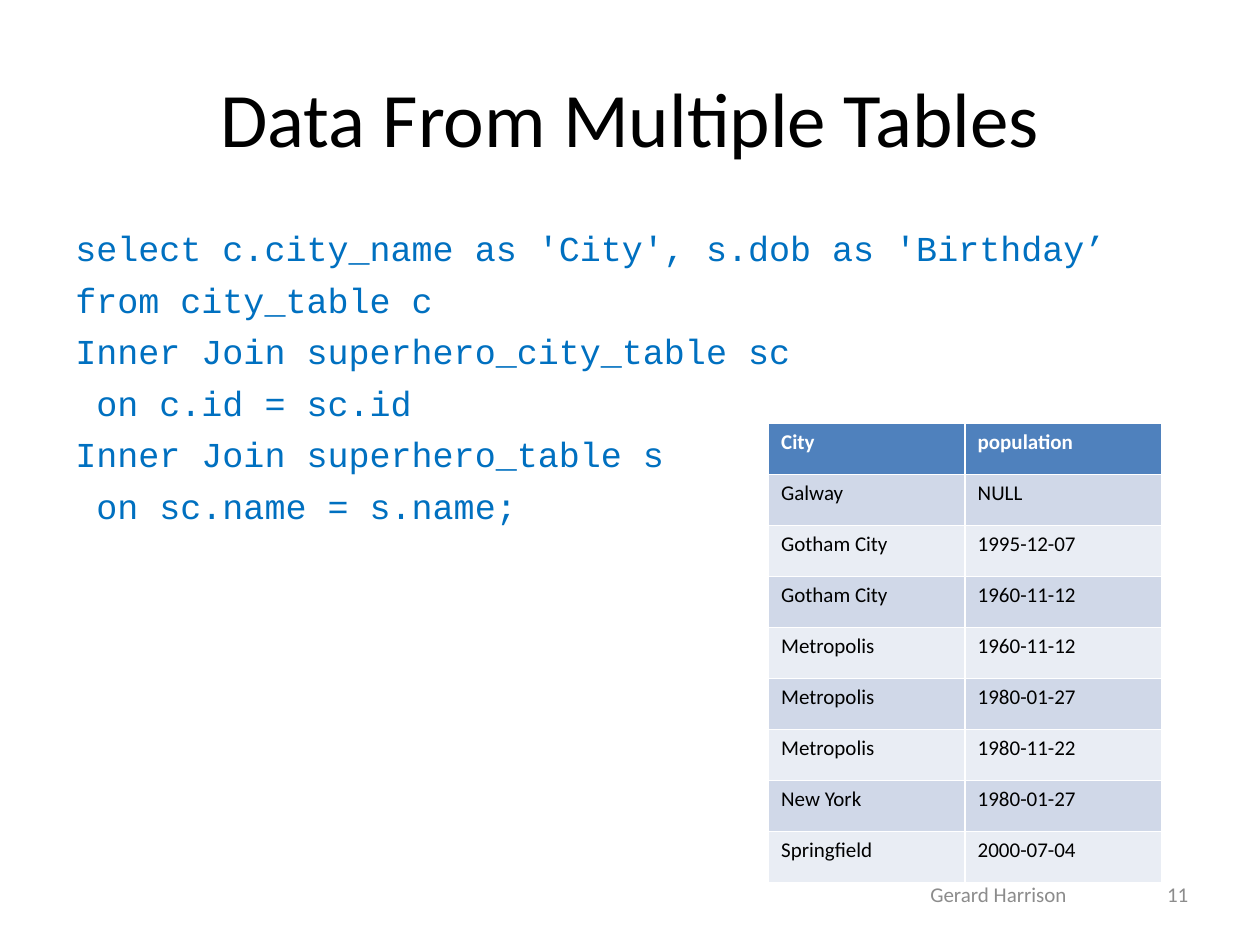
import pptx
import pptx.util
import pptx.dml.color
import pptx.enum.text

Inches, Pt = pptx.util.Inches, pptx.util.Pt
ALIGN, ANCHOR = pptx.enum.text.PP_ALIGN, pptx.enum.text.MSO_ANCHOR

# Content
TITLE = "Data From Multiple Tables"
QUERY = [
    "select c.city_name as 'City', s.dob as 'Birthday’",
    "from city_table c",
    "Inner Join superhero_city_table sc",
    " on c.id = sc.id",
    "Inner Join superhero_table s",
    " on sc.name = s.name;",
]
RESULTS = [
    ("City", "population"),
    ("Galway", "NULL"),
    ("Gotham City", "1995-12-07"),
    ("Gotham City", "1960-11-12"),
    ("Metropolis", "1960-11-12"),
    ("Metropolis", "1980-01-27"),
    ("Metropolis", "1980-11-22"),
    ("New York", "1980-01-27"),
    ("Springfield", "2000-07-04"),
]
AUTHOR, PAGE = "Gerard Harrison", "11"

COLORS = {
    "text": "000000", "code": "0070C0", "footer": "8C8C8C",
    "header": "4F81BD", "header_text": "FFFFFF",
    "odd": "D0D8E8", "even": "E9EDF4",
}


def rgb(name):
    return pptx.dml.color.RGBColor.from_string(COLORS[name])


def style(paragraph, size, color, font="Calibri", bold=False):
    paragraph.font.size = Pt(size)
    paragraph.font.name = font
    paragraph.font.bold = bold
    paragraph.font.color.rgb = rgb(color)


def add_text(slide, box, lines, size, color, font="Calibri", align=ALIGN.LEFT,
             anchor=ANCHOR.MIDDLE, space_before=0):
    frame = slide.shapes.add_textbox(*map(Inches, box)).text_frame
    frame.word_wrap = True
    frame.vertical_anchor = anchor
    frame.text = "\n".join(lines)
    for paragraph in frame.paragraphs:
        paragraph.alignment = align
        paragraph.space_before = Pt(space_before)
        style(paragraph, size, color, font)


def add_results(slide, left, top, column_width, row_height):
    rows, columns = len(RESULTS), len(RESULTS[0])
    table = slide.shapes.add_table(
        rows, columns, Inches(left), Inches(top),
        Inches(columns * column_width), Inches(rows * row_height)).table
    for r, record in enumerate(RESULTS):
        fill = "header" if r == 0 else "odd" if r % 2 else "even"
        for c, value in enumerate(record):
            cell = table.cell(r, c)
            cell.text = value
            cell.fill.solid()
            cell.fill.fore_color.rgb = rgb(fill)
            style(cell.text_frame.paragraphs[0], 12,
                  "text" if r else "header_text", bold=r == 0)


def main():
    deck = pptx.Presentation()
    deck.slide_width, deck.slide_height = Inches(10), Inches(7.5)
    slide = deck.slides.add_slide(deck.slide_layouts[6])

    # Title and query
    add_text(slide, (0.5, 0.3, 9, 1.25), [TITLE], 44, "text", align=ALIGN.CENTER)
    add_text(slide, (0.5, 1.75, 9, 4.95), QUERY, 20, "code", "Courier New",
             anchor=ANCHOR.TOP, space_before=5.4)

    # Footer
    add_text(slide, (6.34, 6.9, 3.17, 0.4), [AUTHOR], 12, "footer", align=ALIGN.CENTER)
    add_text(slide, (7.2, 6.9, 2.33, 0.4), [PAGE], 12, "footer", align=ALIGN.RIGHT)

    # Query results
    add_results(slide, 6.1, 3.36, 1.56, 0.405)
    deck.save("out.pptx")


if __name__ == "__main__":
    main()
